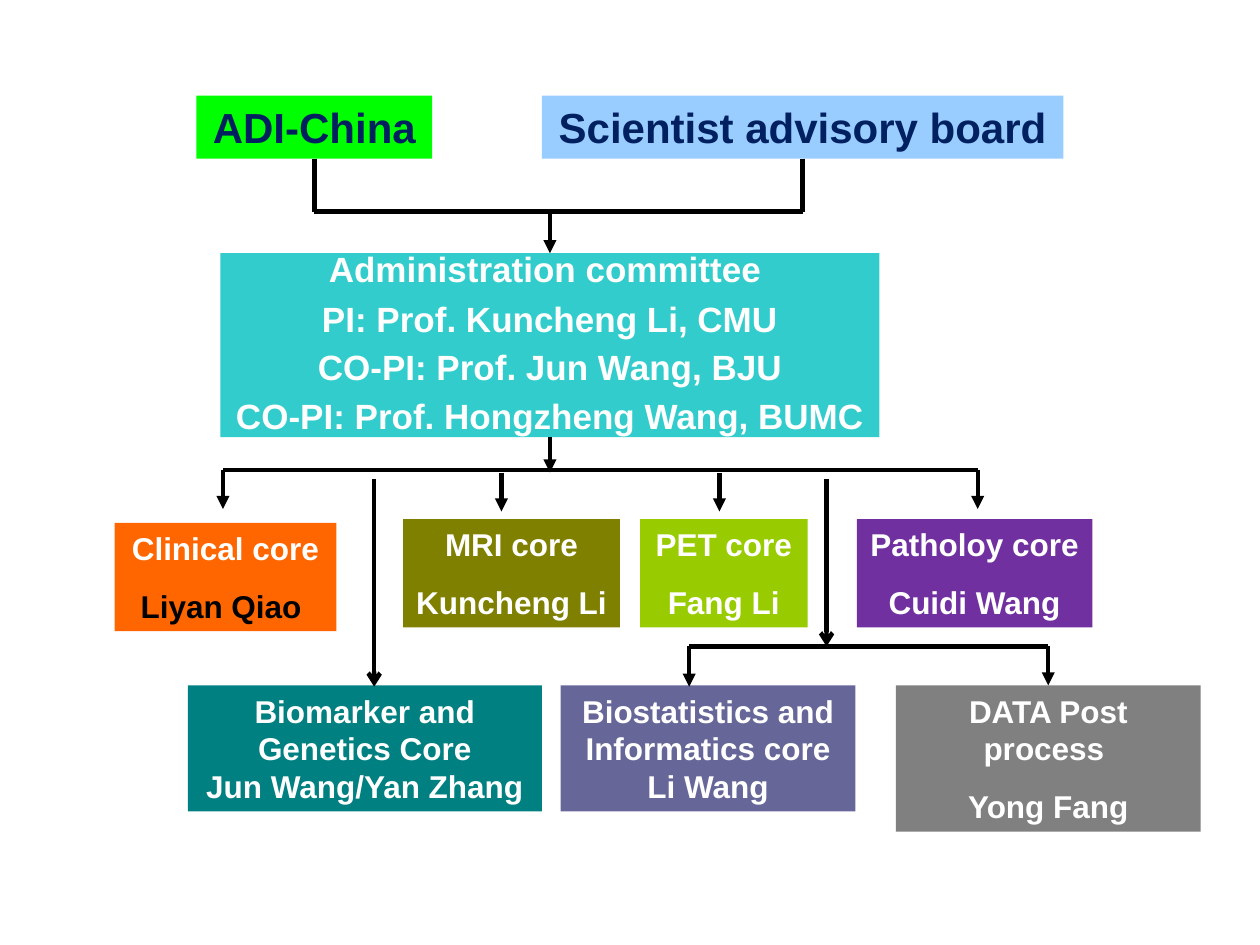
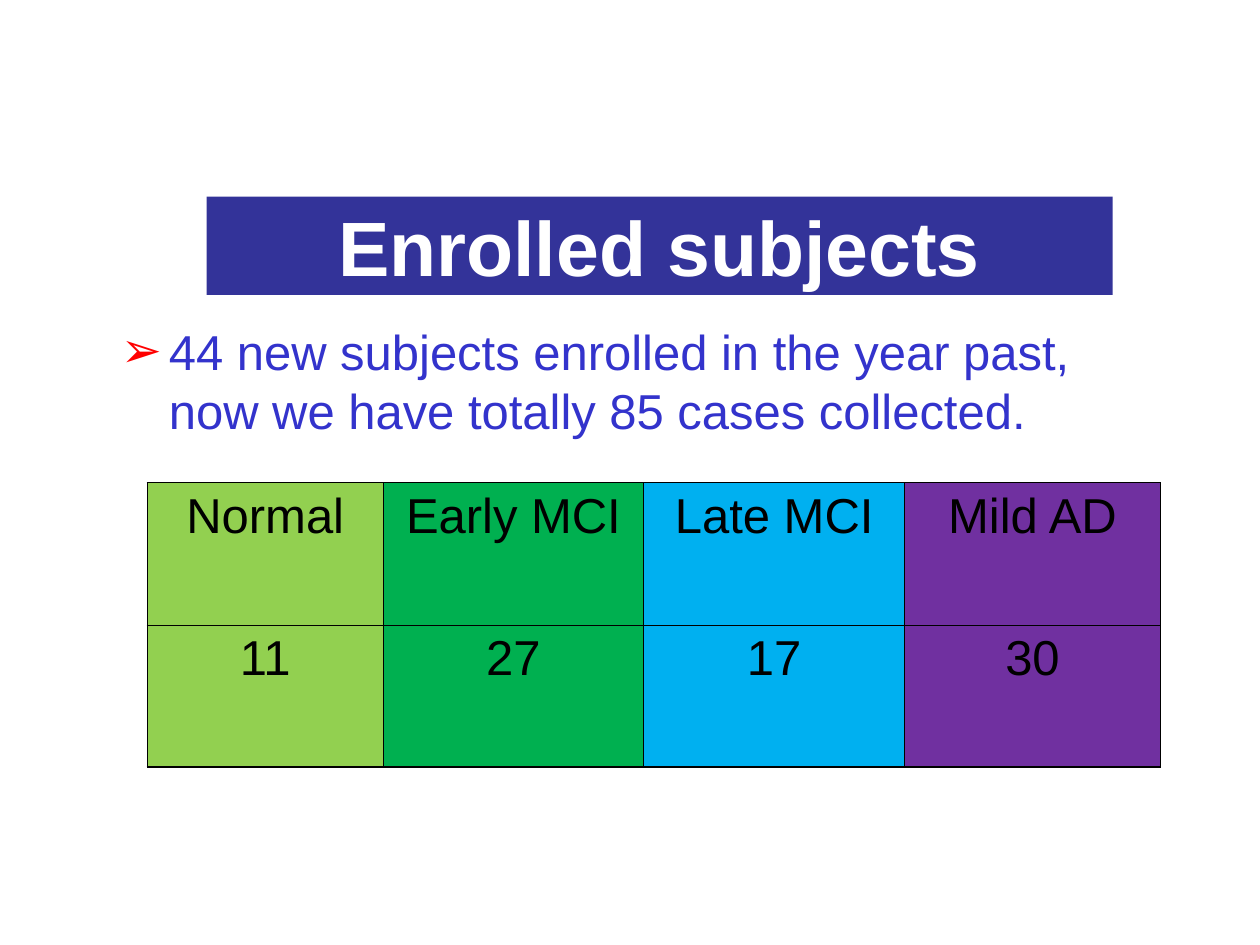
"""Build two slides: the organisation chart and the enrolled subjects."""
from lxml import etree
from pptx import Presentation
from pptx.dml.color import RGBColor
from pptx.enum.shapes import MSO_CONNECTOR, MSO_SHAPE
from pptx.enum.text import MSO_ANCHOR, MSO_AUTO_SIZE, PP_ALIGN
from pptx.oxml.ns import qn
from pptx.util import Inches, Pt

CENTER, LEFT = PP_ALIGN.CENTER, PP_ALIGN.LEFT
TOP, MIDDLE = MSO_ANCHOR.TOP, MSO_ANCHOR.MIDDLE
NO_AUTOFIT = MSO_AUTO_SIZE.NONE
RECTANGLE, STRAIGHT = MSO_SHAPE.RECTANGLE, MSO_CONNECTOR.STRAIGHT
TOP_SIDE, BOTTOM_SIDE = 0, 2

FONT = "Arial"
WHITE, BLACK, NAVY = "FFFFFF", "000000", "002060"
TITLE_BAND, BODY_BLUE, BULLET_RED = "333399", "3333CC", "FF0000"

# name: (left, top, width, height), fill, style, lines
BOXES = {
    "china": ((1.56, 0.76, 1.87, 0.5), "00FF00", "head", ["ADI-China"]),
    "advisers": ((4.3, 0.76, 4.14, 0.5), "99CCFF", "head", ["Scientist advisory board"]),
    "committee": ((1.75, 2.01, 5.23, 1.46), "33CCCC", "committee", [
        "Administration committee ", "PI: Prof. Kuncheng Li, CMU",
        "CO-PI: Prof. Jun Wang, BJU", "CO-PI: Prof. Hongzheng Wang, BUMC"]),
    "clinical": ((0.91, 4.15, 1.76, 0.86), "FF6600", "core", ["Clinical core", "Liyan Qiao "]),
    "mri": ((3.2, 4.12, 1.72, 0.86), "808000", "core", ["MRI core", "Kuncheng Li"]),
    "pet": ((5.08, 4.12, 1.33, 0.86), "99CC00", "core", ["PET core", "Fang Li"]),
    "pathology": ((6.8, 4.12, 1.87, 0.86), "7030A0", "core", ["Patholoy core", "Cuidi Wang"]),
    "biomarker": ((1.49, 5.44, 2.81, 1), "008080", "tight", [
        "Biomarker and Genetics Core", "Jun Wang/Yan Zhang"]),
    "statistics": ((4.45, 5.44, 2.34, 1), "666699", "tight", [
        "Biostatistics and Informatics core", "Li Wang"]),
    "data": ((7.11, 5.44, 2.42, 1.16), "808080", "core", ["DATA Post process ", "Yong Fang"]),
}
# style: size, colour, space between paragraphs, first and later line spacing
STYLES = {
    "head": (24, NAVY, 0, 1, 1),
    "committee": (20, WHITE, 12.5, 0.7, 0.64),
    "core": (18, WHITE, 11.25, 1, 1),
    "tight": (18, WHITE, 0, 1, 1),
}
LINE_COLOURS = {"Liyan Qiao ": BLACK}

# A box name as x means its centre; None as y means the side of that box.
BARS = [("china", "advisers", 1.68), (1.77, 7.76, 3.73), (5.47, "data", 5.13)]
DROPS = [
    ("china", None, 1.68, None), ("advisers", None, 1.68, None),
    ("committee", 1.7, None, "triangle"), ("committee", None, 3.75, "triangle"),
    (1.77, 3.73, 4.04, "triangle"), (7.76, 3.73, 4.04, "triangle"),
    (3.98, 3.75, 4.06, "triangle"), (5.71, 3.75, 4.06, "triangle"),
    (2.97, 3.8, 5.45, "arrow"), (6.56, 3.8, 5.13, "arrow"),
    (5.47, 5.13, 5.45, "triangle"), ("data", 5.13, None, "triangle"),
]

TITLE = "Enrolled subjects"
SUMMARY = "44 new subjects enrolled in the year past, now we have totally 85 cases collected."
# group, subjects, fill, column width
GROUPS = [
    ("Normal", "11", "92D050", 1.87), ("Early MCI", "27", "00B050", 2.07),
    ("Late MCI", "17", "00B0F0", 2.07), ("Mild AD", "30", "7030A0", 2.03),
]
ROW_HEIGHT, INNER_BORDER, OUTER_BORDER = 1.13, 0.45, 1.08


def rgb(colour):
    return RGBColor.from_string(colour)


def paint(part, colour):
    part.fill.solid()
    part.fill.fore_color.rgb = rgb(colour)


def place(shape, *area):
    shape.left, shape.top, shape.width, shape.height = map(Inches, area)


def write(para, text, size, colour, bold=False, align=CENTER, before=0, spacing=1.0):
    para.text = text
    para.alignment, para.line_spacing, para.space_before = align, spacing, Pt(before)
    font = para.font
    font.name, font.size, font.bold = FONT, Pt(size), bold
    font.color.rgb = rgb(colour)


def add_box(slide, area, fill, style, lines):
    box = slide.shapes.add_shape(RECTANGLE, *map(Inches, area))
    box.shadow.inherit = False
    paint(box, fill)
    box.line.fill.background()
    frame = box.text_frame
    frame.word_wrap, frame.vertical_anchor = True, TOP
    size, colour, gap, first_spacing, spacing = STYLES[style]
    for index, text in enumerate(lines):
        para = frame.add_paragraph() if index else frame.paragraphs[0]
        write(para, text, size, LINE_COLOURS.get(text, colour), True,
              before=gap if index else 0, spacing=spacing if index else first_spacing)
    return box


def add_line(slide, x1, y1, x2, y2, head=None):
    line = slide.shapes.add_connector(STRAIGHT, *map(Inches, (x1, y1, x2, y2)))
    line.line.color.rgb, line.line.width = rgb(BLACK), Pt(2.5)
    properties = line._element.spPr
    if head:
        etree.SubElement(properties.find(qn("a:ln")), qn("a:tailEnd"), type=head)
    etree.SubElement(properties, qn("a:effectLst"))
    return line


def centre(x):
    if x in BOXES:
        left, _, width, _ = BOXES[x][0]
        return left + width / 2
    return x


def build_organisation(deck):
    slide = deck.slides.add_slide(deck.slide_layouts[6])
    boxes = {name: add_box(slide, *parts) for name, parts in BOXES.items()}
    for start, end, y in BARS:
        add_line(slide, centre(start), y, centre(end), y)
    for x, top, bottom, head in DROPS:
        middle = centre(x)
        line = add_line(slide, middle, top or bottom, middle, bottom or top, head)
        if top is None:
            line.begin_connect(boxes[x], BOTTOM_SIDE)
        if bottom is None:
            line.end_connect(boxes[x], TOP_SIDE)


def add_bullet(para, character, colour, indent):
    properties = para._p.get_or_add_pPr()
    properties.set("marL", str(Inches(indent)))
    properties.set("indent", str(-Inches(indent)))
    bullet_colour = etree.SubElement(properties, qn("a:buClr"))
    etree.SubElement(bullet_colour, qn("a:srgbClr"), val=colour)
    etree.SubElement(properties, qn("a:buFont"), typeface=FONT)
    etree.SubElement(properties, qn("a:buChar"), char=character)


def add_borders(cell, widths):
    properties = cell._tc.get_or_add_tcPr()
    for index, (side, width) in enumerate(widths.items()):
        border = etree.Element(qn(f"a:ln{side}"), w=str(Pt(width)))
        fill = etree.SubElement(border, qn("a:solidFill"))
        etree.SubElement(fill, qn("a:srgbClr"), val=BLACK)
        properties.insert(index, border)


def add_group_table(slide):
    widths = [group[3] for group in GROUPS]
    area = (1.17, 3.83, sum(widths), 2 * ROW_HEIGHT)
    table = slide.shapes.add_table(2, len(GROUPS), *map(Inches, area)).table
    table.first_row = table.horz_banding = False
    for row in table.rows:
        row.height = Inches(ROW_HEIGHT)
    last = len(GROUPS) - 1
    for column, (name, count, fill, width) in enumerate(GROUPS):
        table.columns[column].width = Inches(width)
        for row, text in enumerate((name, count)):
            cell = table.cell(row, column)
            paint(cell, fill)
            write(cell.text_frame.paragraphs[0], text, 28, BLACK)
            outer = {"L": column == 0, "R": column == last, "T": False, "B": row == 1}
            add_borders(cell, {side: OUTER_BORDER if edge else INNER_BORDER
                               for side, edge in outer.items()})


def build_enrolment(deck):
    slide = deck.slides.add_slide(deck.slide_layouts[1])
    title, body = slide.placeholders
    place(title, 1.64, 1.56, 7.19, 0.78)
    paint(title, TITLE_BAND)
    title.text_frame.vertical_anchor = MIDDLE
    write(title.text_frame.paragraphs[0], TITLE, 44, WHITE, True)
    place(body, 0.86, 2.5, 8.44, 1.09)
    for holder in (title, body):
        holder.text_frame.auto_size = NO_AUTOFIT
    para = body.text_frame.paragraphs[0]
    add_bullet(para, "➢", BULLET_RED, 0.38)
    write(para, SUMMARY, 28, BODY_BLUE, align=LEFT)
    add_group_table(slide)


def main():
    deck = Presentation()
    deck.slide_width, deck.slide_height = Inches(10), Inches(7.5)
    build_organisation(deck)
    build_enrolment(deck)
    deck.save("out.pptx")


if __name__ == "__main__":
    main()
